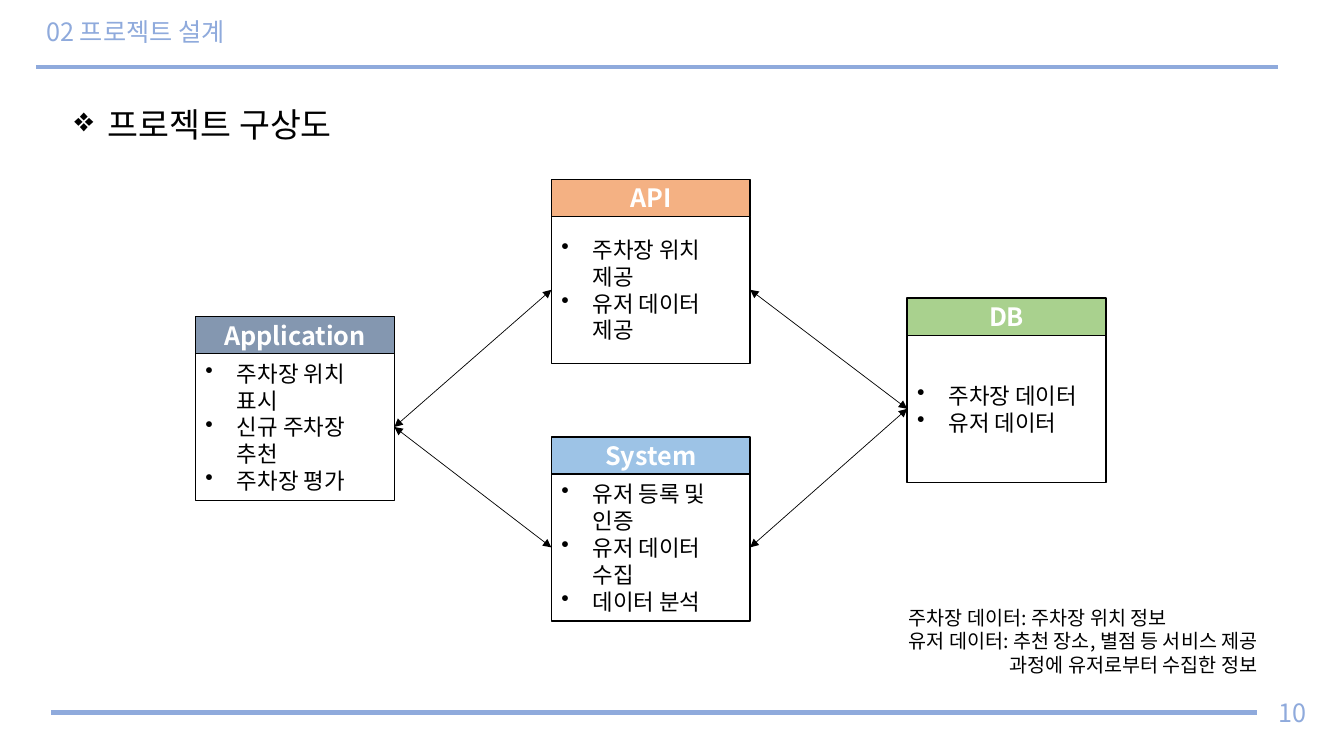
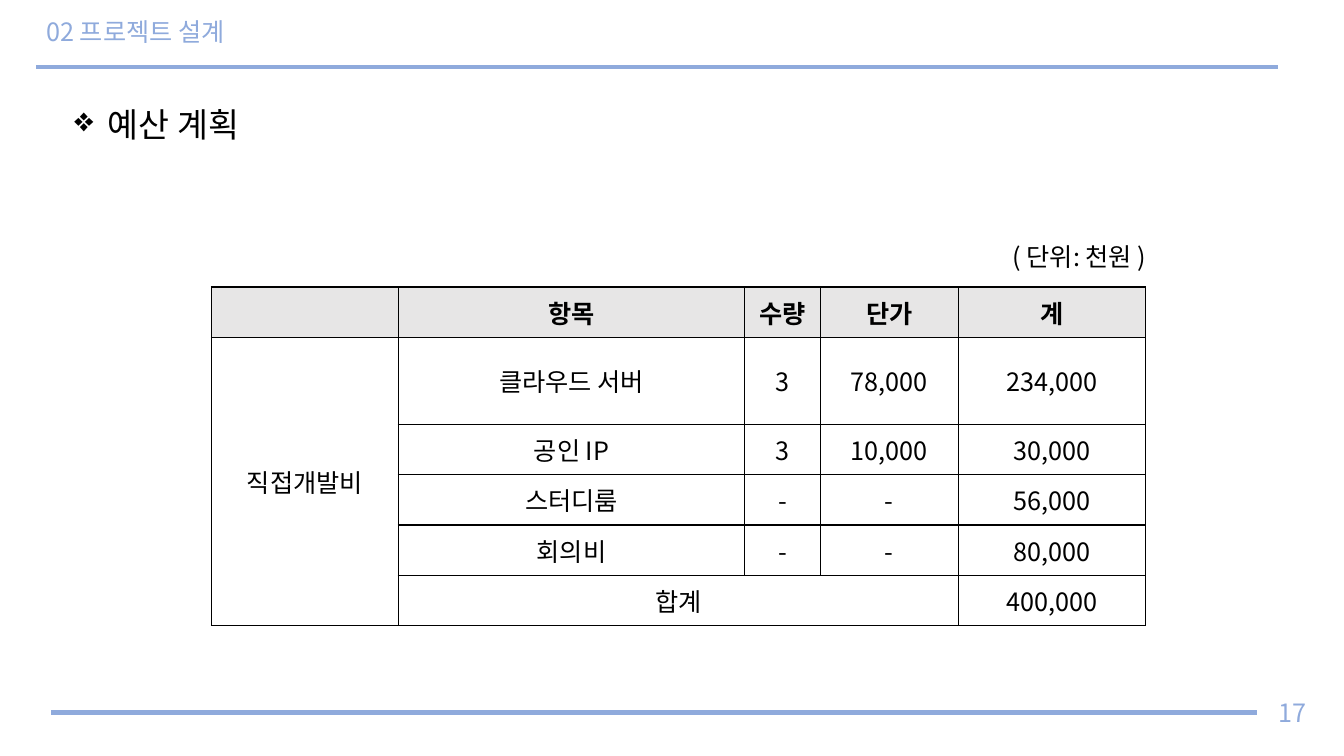
from lxml import etree
from pptx import Presentation
from pptx.dml import color
from pptx.enum import shapes, text
from pptx.oxml import ns
from pptx.util import Pt

LEFT, CENTER = text.PP_ALIGN.LEFT, text.PP_ALIGN.CENTER
TOP, MIDDLE = text.MSO_ANCHOR.TOP, text.MSO_ANCHOR.MIDDLE


def rgb(value):
    return color.RGBColor.from_string(value)


def add_xml(parent, tag, **attrs):
    return etree.SubElement(parent, ns.qn(tag), attrs)


class Deck:
    """Holds the shared style and the slide being built."""

    FONT = "Noto Sans CJK KR"
    ACCENT, INK, PAPER, SHADE = "8FAADC", "000000", "FFFFFF", "E7E6E6"
    BOX_W, HEAD_H, BODY_H = 142, 26.5, 105

    def __init__(self):
        self.prs = Presentation()
        self.prs.slide_width, self.prs.slide_height = Pt(960), Pt(540)
        self.s = None

    def slide(self, title, heading, number):
        self.s = self.prs.slides.add_slide(self.prs.slide_layouts[6])
        self.line(26, 48, 913, 48, self.ACCENT, 3)
        self.line(36.5, 509, 898, 509, self.ACCENT, 3)
        self.label(26, 5, 828, 37.5, [title], 18, self.ACCENT, anchor=MIDDLE, spacing=0.9)
        self.label(46, 56, 852, 60, [heading], 24, bullet="❖", indent=24, spacing=1.5, before=10)
        self.label(898, 494.5, 51, 29, [number], 18, self.ACCENT, CENTER, MIDDLE)

    def fill_text(self, tf, lines, size, ink=INK, align=LEFT, bold=False,
                  bullet=None, indent=0, spacing=None, before=None):
        for i, line in enumerate(lines):
            p = tf.add_paragraph() if i else tf.paragraphs[0]
            p.text, p.alignment = line, align
            if spacing:
                p.line_spacing = spacing
            if before:
                p.space_before = Pt(before)
            if bullet:
                pPr = p._p.get_or_add_pPr()
                pPr.set("marL", str(Pt(indent)))
                pPr.set("indent", str(-Pt(indent)))
                add_xml(pPr, "a:buChar", char=bullet)
            f = p.font
            f.size, f.bold, f.name = Pt(size), bold, self.FONT
            f.color.rgb = rgb(ink)
            add_xml(f._element, "a:ea", typeface=self.FONT)

    def label(self, x, y, w, h, lines, size, ink=INK, align=LEFT, anchor=TOP, **style):
        tf = self.s.shapes.add_textbox(Pt(x), Pt(y), Pt(w), Pt(h)).text_frame
        tf.word_wrap, tf.vertical_anchor = True, anchor
        self.fill_text(tf, lines, size, ink, align, **style)
        return tf

    def line(self, x1, y1, x2, y2, ink=INK, width=0.5):
        sp = self.s.shapes.add_connector(
            shapes.MSO_CONNECTOR.STRAIGHT, Pt(x1), Pt(y1), Pt(x2), Pt(y2))
        sp.line.color.rgb, sp.line.width = rgb(ink), Pt(width)
        add_xml(sp._element.spPr, "a:effectLst")
        return sp

    def link(self, source, target):
        sp = self.line(0, 0, 0, 0)
        sp.begin_connect(source, 3)
        sp.end_connect(target, 1)
        ln = sp._element.spPr.get_or_add_ln()
        for end in ("a:headEnd", "a:tailEnd"):
            add_xml(ln, end, type="triangle")

    def rect(self, x, y, h, fill=None):
        sp = self.s.shapes.add_shape(
            shapes.MSO_SHAPE.RECTANGLE, Pt(x), Pt(y), Pt(self.BOX_W), Pt(h))
        sp.shadow.inherit = False
        if fill:
            sp.fill.solid()
            sp.fill.fore_color.rgb = rgb(fill)
        else:
            sp.fill.background()
        sp.line.color.rgb, sp.line.width = rgb(self.INK), Pt(1)
        sp.text_frame.word_wrap = True
        sp.text_frame.vertical_anchor = MIDDLE
        return sp

    def card(self, x, y, name, fill, items):
        head = self.rect(x, y, self.HEAD_H, fill)
        self.fill_text(head.text_frame, [name], 18, self.PAPER, CENTER, bold=True)
        body = self.rect(x, y + self.HEAD_H, self.BODY_H)
        self.fill_text(body.text_frame, items, 16, bullet="•", indent=22.5)
        return body

    def table(self, x, y, widths, heights, rows, merges):
        table = self.s.shapes.add_table(
            len(rows), len(widths), Pt(x), Pt(y), Pt(sum(widths)), Pt(sum(heights))).table
        for column, w in zip(table.columns, widths):
            column.width = Pt(w)
        for r, (row, h, values) in enumerate(zip(table.rows, heights, rows)):
            row.height = Pt(h)
            for cell, value in zip(row.cells, values):
                cell.vertical_anchor = MIDDLE
                if value:
                    self.fill_text(cell.text_frame, [value], 18, align=CENTER, bold=r == 0)
                self.border(cell)
                cell.fill.solid()
                cell.fill.fore_color.rgb = rgb(self.PAPER if r else self.SHADE)
        for first, last in merges:
            table.cell(*first).merge(table.cell(*last))

    def border(self, cell):
        tcPr = cell._tc.get_or_add_tcPr()
        for side in ("a:lnL", "a:lnR", "a:lnT", "a:lnB"):
            ln = add_xml(tcPr, side, w=str(Pt(1)))
            add_xml(add_xml(ln, "a:solidFill"), "a:srgbClr", val=self.INK)


def architecture(deck):
    deck.slide("02 프로젝트 설계", "프로젝트 구상도", "10")
    left, middle, right = (139.7 + 254.15 * i for i in range(3))
    app = deck.card(left, 226, "Application", "8497B0",
                    ["주차장 위치\v표시", "신규 주차장\v추천", "주차장 평가"])
    db = deck.card(right, 213, "DB", "A9D18E", ["주차장 데이터", "유저 데이터"])
    system = deck.card(middle, 312, "System", "9DC3E6",
                       ["유저 등록 및\v인증", "유저 데이터\v수집", "데이터 분석"])
    api = deck.card(middle, 128, "API", "F4B183", ["주차장 위치\v제공", "유저 데이터\v제공"])
    for hub in (api, system):
        deck.link(app, hub)
        deck.link(hub, db)
    tf = deck.label(642, 429, 295, 58, [
        "주차장 데이터: 주차장 위치 정보",
        "유저 데이터: 추천 장소, 별점 등 서비스 제공",
        "과정에 유저로부터 수집한 정보"], 14)
    tf.paragraphs[-1]._p.get_or_add_pPr().set("marL", str(Pt(72)))


def budget(deck):
    deck.slide("02 프로젝트 설계", "예산 계획", "17")
    rows = [
        ["", "항목", "수량", "단가", "계"],
        ["직접개발비", "클라우드 서버", "3", "78,000", "234,000"],
        ["", "공인 IP", "3", "10,000", "30,000"],
        ["", "스터디룸", "-", "-", "56,000"],
        ["", "회의비", "-", "-", "80,000"],
        ["", "합계", "", "", "400,000"],
    ]
    deck.table(151, 205, [133.5, 247.5, 54, 98.5, 133.5], [36, 62, 36, 36, 36, 36],
               rows, [((1, 0), (5, 0)), ((5, 1), (5, 3))])
    deck.label(706.5, 169, 129, 29, ["( 단위: 천원 )"], 18, align=CENTER)


def main():
    deck = Deck()
    architecture(deck)
    budget(deck)
    deck.prs.save("out.pptx")


if __name__ == "__main__":
    main()
